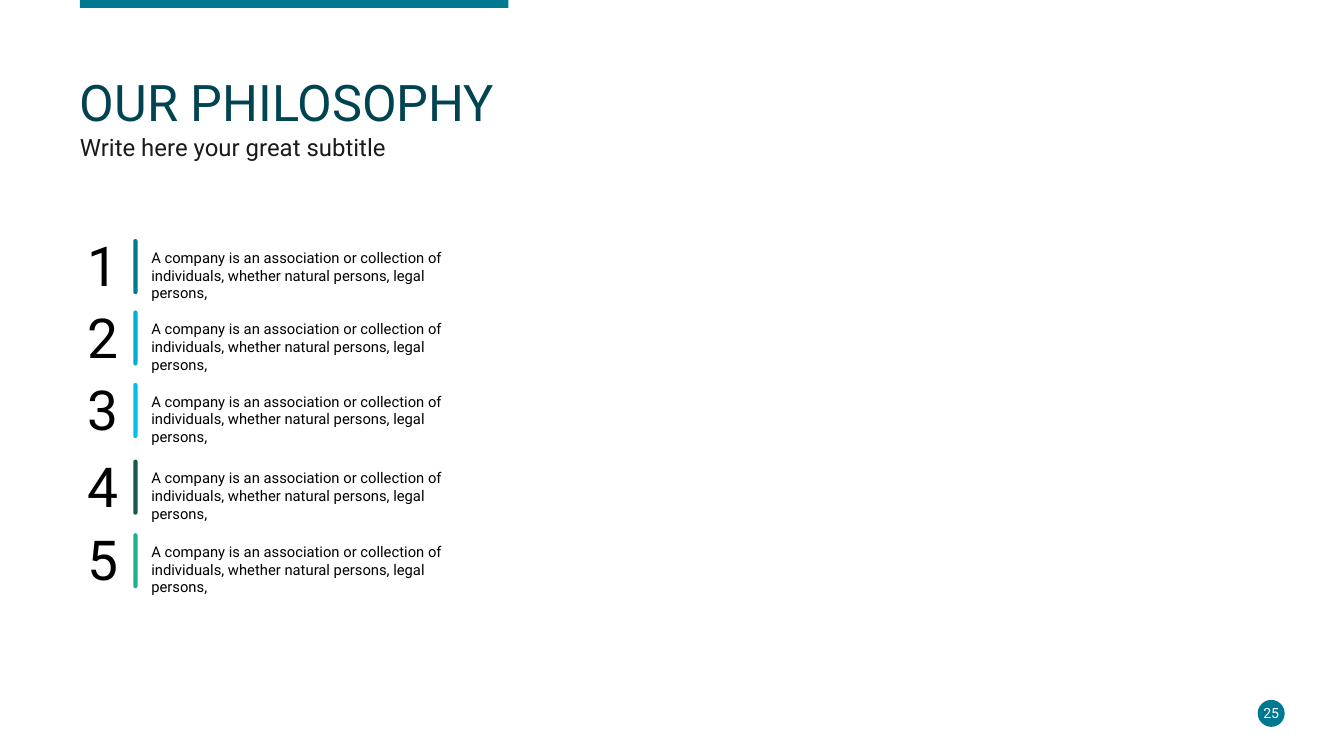
from pptx import Presentation
from pptx.dml.color import RGBColor
from pptx.enum.shapes import MSO_SHAPE as Preset
from pptx.enum.text import MSO_ANCHOR as Anchor, PP_ALIGN as Align
from pptx.util import Cm, Pt

TEAL = RGBColor(0x00, 0x78, 0x91)
CYAN = RGBColor(0x00, 0xAE, 0xD2)
SKY = RGBColor(0x03, 0xBD, 0xEC)
FOREST = RGBColor(0x15, 0x58, 0x4C)
GREEN = RGBColor(0x1F, 0xB1, 0x8A)
DARK_TEAL = RGBColor(0x00, 0x44, 0x52)
CHARCOAL = RGBColor(0x1A, 0x1A, 0x1A)
BLACK = RGBColor(0x00, 0x00, 0x00)
WHITE = RGBColor(0xFF, 0xFF, 0xFF)

FONT = "Roboto"
ITEM_TEXT = ("A company is an association or collection of individuals, "
             "whether natural persons, legal persons,")
# Top of each row in cm, and the colour of its bar
ITEMS = [(4.52, TEAL), (5.87, CYAN), (7.24, SKY), (8.69, FOREST), (10.08, GREEN)]


def add_filled_shape(slide, preset, left, top, width, height, color):
    shape = slide.shapes.add_shape(preset, left, top, width, height)
    shape.shadow.inherit = False
    shape.fill.solid()
    shape.fill.fore_color.rgb = color
    shape.line.fill.background()
    return shape


def set_text(shape, text, size, color, inset_x=0, inset_y=0, wrap=True):
    """Write one paragraph into a shape, with insets in cm, and return it."""
    frame = shape.text_frame
    frame.word_wrap = wrap
    frame.margin_left = frame.margin_right = Cm(inset_x)
    frame.margin_top = frame.margin_bottom = Cm(inset_y)
    paragraph = frame.paragraphs[0]
    paragraph.text = text
    paragraph.font.name = FONT
    paragraph.font.size = Pt(size)
    paragraph.font.color.rgb = color
    return paragraph


def add_heading(slide, left, width):
    add_filled_shape(slide, Preset.RECTANGLE, left, 0, Cm(8.1), Cm(0.15), TEAL)
    title = slide.shapes.add_textbox(left, Cm(1.47), width, Cm(1.05))
    set_text(title, "OUR PHILOSOPHY", 27, DARK_TEAL).line_spacing = 0.9
    subtitle = slide.shapes.add_textbox(left, Cm(2.57), width, Cm(0.5))
    set_text(subtitle, "Write here your great subtitle", 12.8, CHARCOAL).line_spacing = 0.9


def add_item(slide, left, top, number, color):
    numeral = slide.shapes.add_textbox(left, top - Cm(0.22), Cm(0.9), Cm(1.4))
    set_text(numeral, str(number), 29.5, BLACK, 0.15, 0.08, wrap=False)
    bar = add_filled_shape(slide, Preset.ROUND_2_SAME_RECTANGLE,
                           left + Cm(1.01), top, Cm(0.08), Cm(1.04), color)
    bar.adjustments[0] = bar.adjustments[1] = 0.5
    description = slide.shapes.add_textbox(left + Cm(1.17), top + Cm(0.1), Cm(6.58), Cm(0.84))
    set_text(description, ITEM_TEXT, 7.9, BLACK, 0.18, 0.08)


def add_page_number(slide, left, top, diameter):
    add_filled_shape(slide, Preset.OVAL, left, top, diameter, diameter, TEAL)
    label = slide.shapes.add_textbox(left, top, diameter, diameter)
    set_text(label, "25", 7.5, WHITE).alignment = Align.CENTER
    label.text_frame.vertical_anchor = Anchor.MIDDLE


def main():
    presentation = Presentation()
    presentation.slide_width, presentation.slide_height = Cm(25.4), Cm(14.29)
    slide = presentation.slides.add_slide(presentation.slide_layouts[6])
    add_heading(slide, Cm(1.51), Cm(10.67))
    for number, (top, color) in enumerate(ITEMS, start=1):
        add_item(slide, Cm(1.51), Cm(top), number, color)
    add_page_number(slide, Cm(23.77), Cm(13.23), Cm(0.51))
    presentation.save("out.pptx")


if __name__ == "__main__":
    main()
